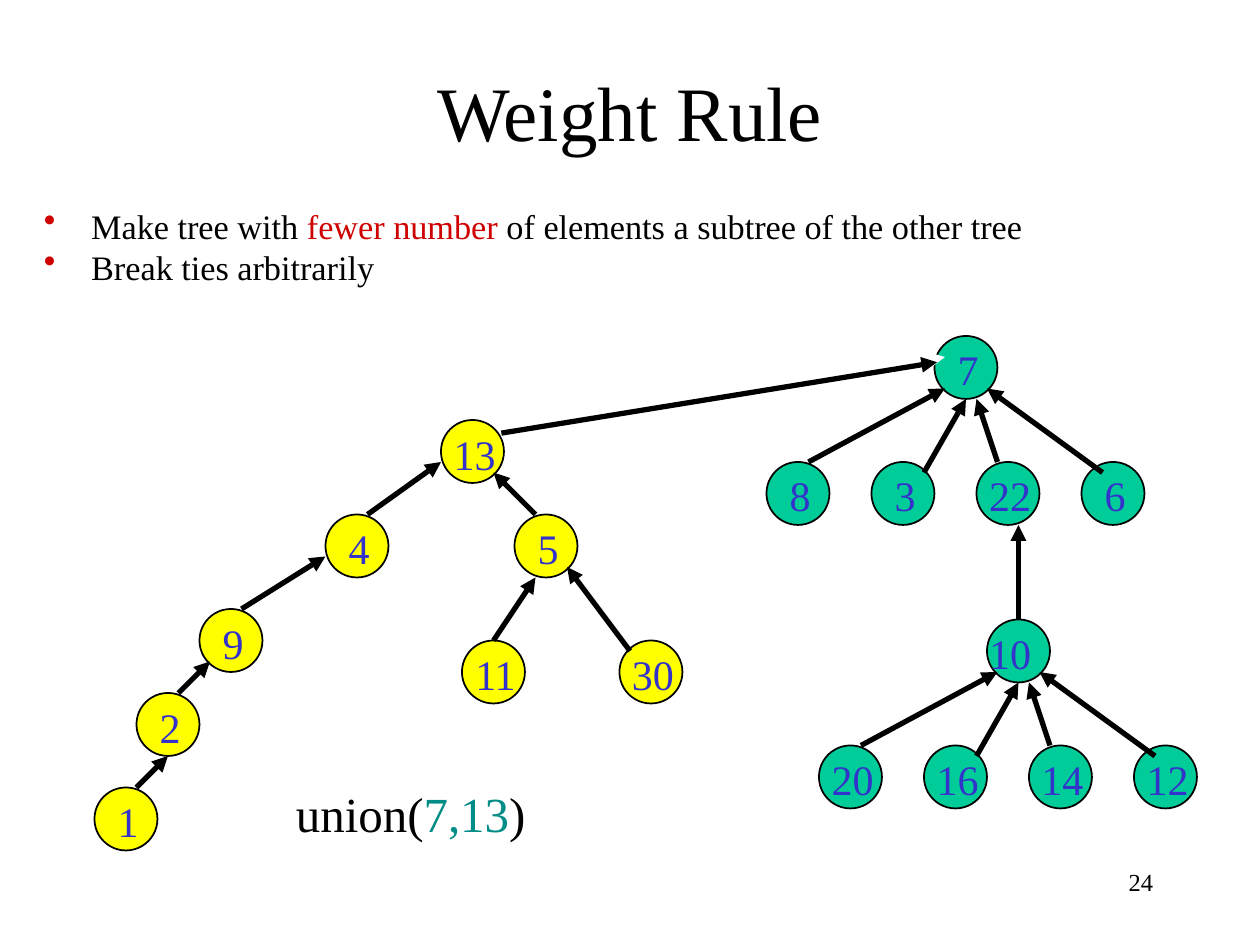
from lxml import etree
from pptx import Presentation
from pptx.dml.color import RGBColor
from pptx.enum.shapes import MSO_CONNECTOR, MSO_SHAPE
from pptx.enum.text import MSO_ANCHOR, PP_ALIGN
from pptx.oxml.ns import qn
from pptx.util import Pt

LINE = MSO_CONNECTOR.STRAIGHT
OVAL = MSO_SHAPE.OVAL
TOP, MIDDLE = MSO_ANCHOR.TOP, MSO_ANCHOR.MIDDLE
LEFT, CENTER, RIGHT = PP_ALIGN.LEFT, PP_ALIGN.CENTER, PP_ALIGN.RIGHT

FONT = "Times New Roman"
UNIT = 6  # grid step of the trees, in points
SIZE = 36  # node diameter, in points
COLORS = {
    "black": "000000", "white": "FFFFFF", "red": "CE0000", "teal": "008C87",
    "blue": "3333CC", "yellow": "FFFF00", "green": "00CC99",
}

# label, column, row of each node on the grid
NODES = [
    ("13", 42, 40), ("4", 31, 49), ("5", 49, 49), ("9", 19, 58),
    ("11", 44, 61), ("30", 59, 61), ("2", 13, 66), ("1", 9, 75),
]
# child end, parent end on the grid
EDGES = [
    ((35, 49), (42, 44)), ((51, 49), (47, 45)), ((23, 58), (31, 53)),
    ((47, 61), (51, 55)), ((60, 62), (54, 54)), ((17, 66), (20, 63)),
    ((13, 75), (16, 72)),
]
# the same, counted from the root of a fan
FAN = [
    ((-12, 12), (1, 5)), ((-1, 13), (3, 6)),
    ((6, 12), (4, 6)), ((16, 13), (5, 5)),
]


def color(name):
    return RGBColor.from_string(COLORS[name])


def add_runs(para, runs, size):
    for text, name in runs:
        run = para.add_run()
        run.text = text
        run.font.name = FONT
        run.font.size = Pt(size)
        run.font.color.rgb = color(name)


def add_bullet(para):
    props = para._p.get_or_add_pPr()
    props.set("marL", str(Pt(27)))
    props.set("indent", str(-Pt(27)))
    tint = etree.SubElement(props, qn("a:buClr"))
    etree.SubElement(tint, qn("a:srgbClr"), val=COLORS["red"])
    etree.SubElement(props, qn("a:buChar"), char="•")


def add_text(slide, box, paras, size, align=LEFT, anchor=TOP, bullets=False):
    frame = slide.shapes.add_textbox(*map(Pt, box)).text_frame
    frame.word_wrap = True
    frame.vertical_anchor = anchor
    for i, runs in enumerate(paras):
        para = frame.add_paragraph() if i else frame.paragraphs[0]
        para.alignment = align
        if bullets:
            para.line_spacing = 0.7
            if i:
                para.space_before = Pt(7)
            add_bullet(para)
        add_runs(para, runs, size)


def add_node(slide, label, col, row, fill, left=2.4, right=0):
    """Draw a circle; left and right are the insets of its label."""
    node = slide.shapes.add_shape(
        OVAL, Pt(col * UNIT), Pt(row * UNIT), Pt(SIZE), Pt(SIZE))
    node.shadow.inherit = False
    node.fill.solid()
    node.fill.fore_color.rgb = color(fill)
    node.line.color.rgb = color("black")
    node.line.width = Pt(1)
    frame = node.text_frame
    frame.word_wrap = False
    frame.vertical_anchor = MIDDLE
    frame.margin_left, frame.margin_right = Pt(left), Pt(right)
    frame.margin_top, frame.margin_bottom = Pt(2), 0
    para = frame.paragraphs[0]
    para.alignment = CENTER
    add_runs(para, [(label, "blue")], 24)


def add_arrow(slide, start, end, name="black"):
    """Draw an arrow between two points of the grid."""
    ends = [Pt(n * UNIT) for n in (*start, *end)]
    arrow = slide.shapes.add_connector(LINE, *ends)
    arrow.line.color.rgb = color(name)
    arrow.line.width = Pt(3)
    etree.SubElement(arrow.line._get_or_add_ln(), qn("a:tailEnd"), type="triangle")
    etree.SubElement(arrow._element.spPr, qn("a:effectLst"))


def add_fan(slide, root, col, row, kids, **inset):
    """Draw a root with four children and the arrows up to it."""
    add_node(slide, root, col, row, "green", **inset)
    for i, kid in enumerate(kids):
        add_node(slide, kid, col - 16 + 10 * i, row + 12, "green")
    for start, end in FAN:
        add_arrow(slide, (col + start[0], row + start[1]),
                  (col + end[0], row + end[1]))


def main():
    deck = Presentation()
    deck.slide_width, deck.slide_height = Pt(720), Pt(540)
    slide = deck.slides.add_slide(deck.slide_layouts[6])

    add_text(slide, (54, 18, 612, 90), [[("Weight Rule", "black")]], 44,
             CENTER, MIDDLE)
    rules = [
        [("Make tree with ", "black"), ("fewer number", "red"),
         (" of elements a subtree of the other tree", "black")],
        [("Break ties arbitrarily", "black")],
    ]
    add_text(slide, (18, 120, 702, 48), rules, 19.6, bullets=True)

    for label, col, row in NODES:
        add_node(slide, label, col, row, "yellow")
    for start, end in EDGES:
        add_arrow(slide, start, end)

    add_fan(slide, "7", 89, 32, ["8", "3", "22", "6"])
    add_fan(slide, "10", 94, 59, ["20", "16", "14", "12"], left=0, right=9.6)
    add_arrow(slide, (97, 59), (97, 50))

    union = [("union(", "black"), ("7,13", "teal"), (")", "black")]
    add_text(slide, (162, 444, 186, 41), [union], 28)
    add_arrow(slide, (48, 42), (90, 34), "white")
    add_arrow(slide, (47.75, 41.25), (89.25, 34.5))
    add_text(slide, (516, 492, 150, 36), [[("24", "black")]], 14, RIGHT)

    deck.save("out.pptx")


if __name__ == "__main__":
    main()
